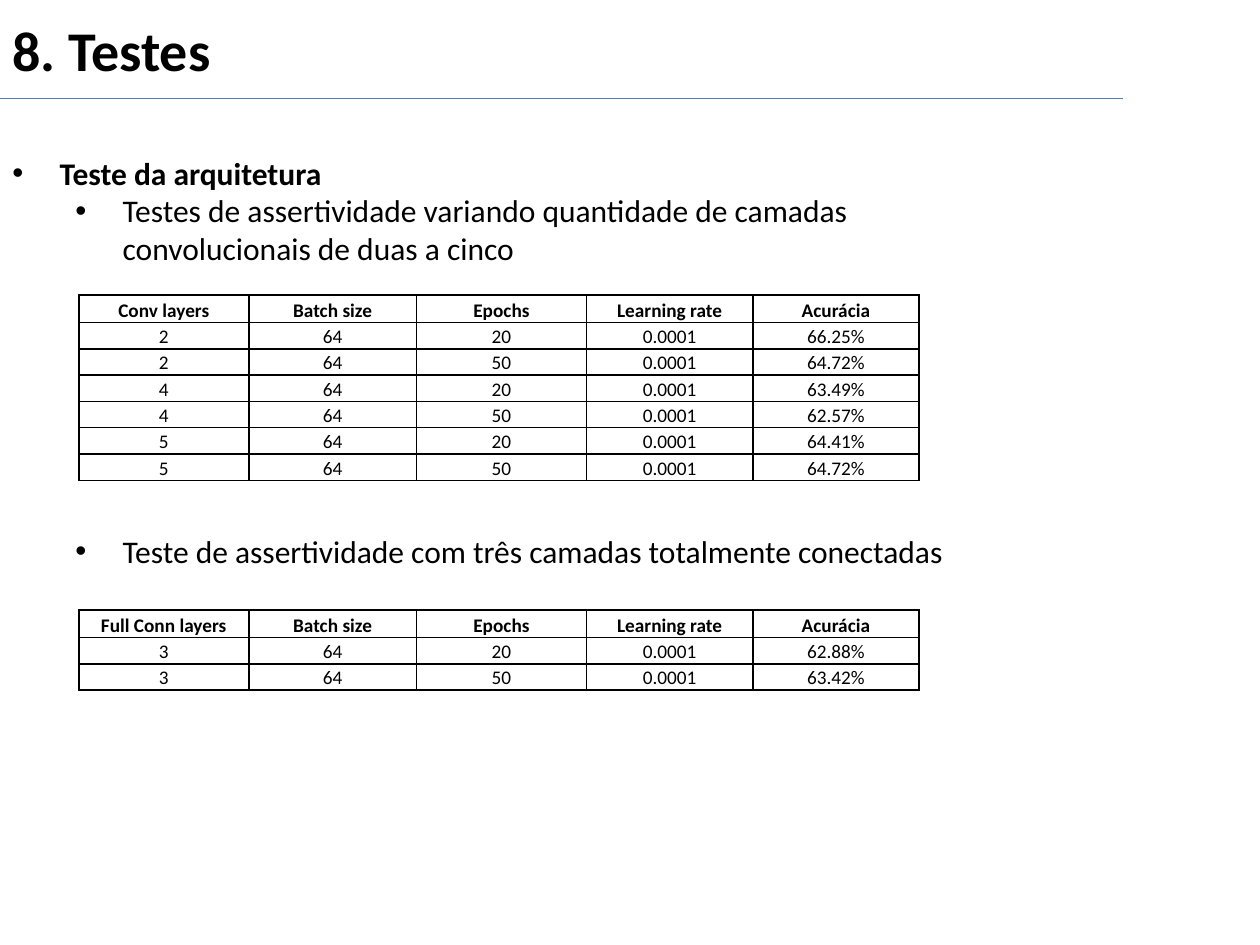
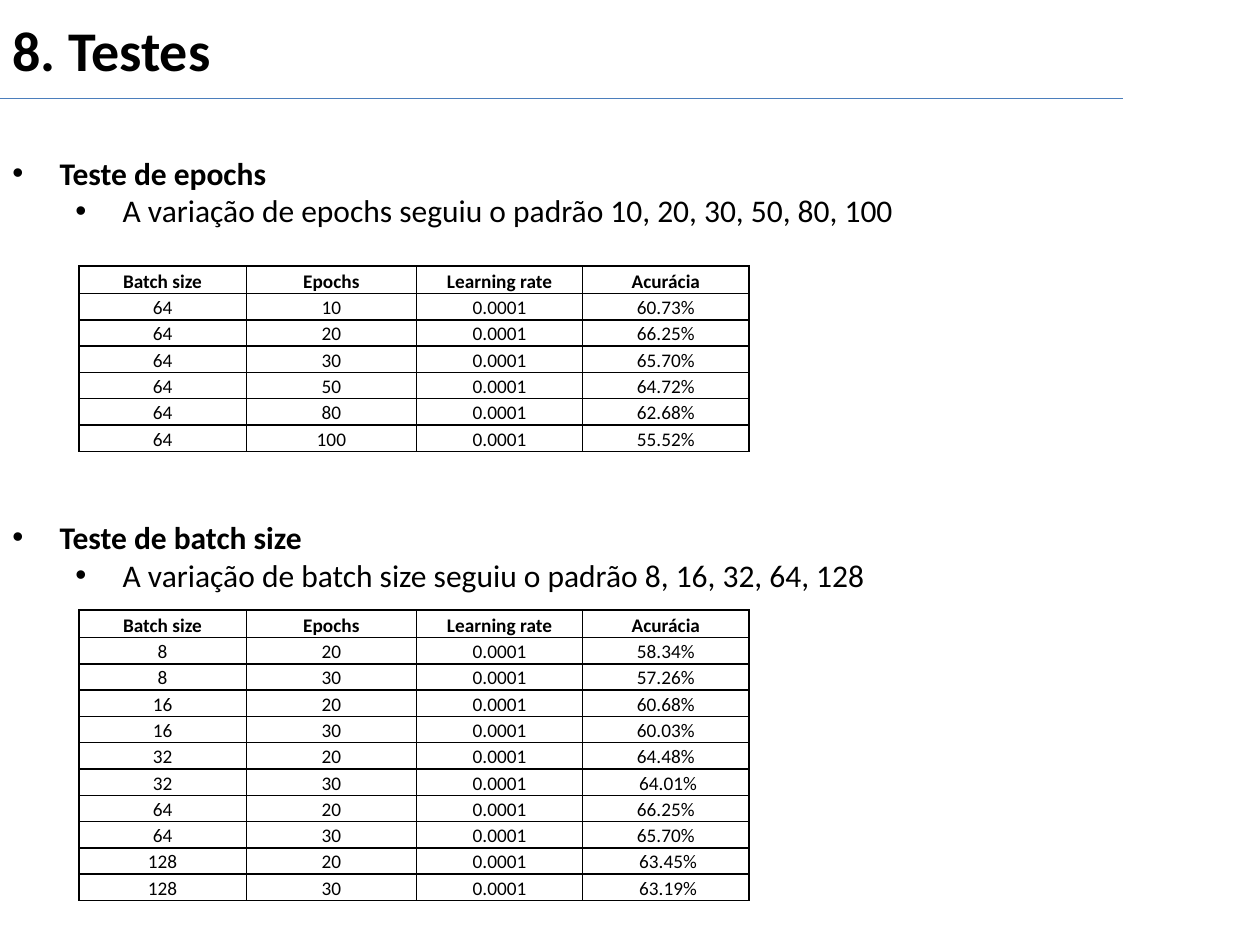
import pptx
import pptx.dml.color
import pptx.enum.shapes
import pptx.enum.text
import pptx.oxml
import pptx.oxml.ns
import pptx.util

Pt = pptx.util.Pt
Inches = pptx.util.Inches
PP_ALIGN = pptx.enum.text.PP_ALIGN
NS = pptx.oxml.ns.nsdecls("a")

COLORS = {"text": "000000", "rule": "4B7EBC", "border": "000000"}
FORMATS = {
    "title": {"name": "Calibri", "size": Pt(32), "bold": True},
    "topic": {"name": "Calibri", "size": Pt(18), "bold": True},
    "detail": {"name": "Calibri", "size": Pt(18), "bold": False},
    "header": {"name": "Calibri", "size": Pt(11), "bold": True},
    "cell": {"name": "Calibri", "size": Pt(11), "bold": False},
}

prs = pptx.Presentation()
prs.slide_width, prs.slide_height = Inches(10), Inches(7.5)
COL = prs.slide_width / 80
ROW = prs.slide_height / 60

TABLE_LEFT = 5
COL_WIDTHS = {"Conv layers": 10.8, "Full Conn layers": 10.8, "Batch size": 10.64,
              "Epochs": 10.8, "Learning rate": 10.56, "Acurácia": 10.56}
HEADER_ROW, BODY_ROW = 1.76, 1.67
LINE_PITCH = 21.65
RATE = "0.0001"
SHARED_HEADS = ["Batch size", "Epochs", "Learning rate", "Acurácia"]

slides = [
    {
        "texts": [
            (9.36, 27.44, [
                ("topic", "Teste da arquitetura", 0),
                ("detail", "Testes de assertividade variando quantidade de camadas "
                           "convolucionais de duas a cinco", 0),
                ("detail", "Teste de assertividade com três camadas totalmente conectadas", 7),
            ]),
        ],
        "tables": [
            (18.72, ["Conv layers"] + SHARED_HEADS, [
                ("2", "64", "20", RATE, "66.25%"),
                ("2", "64", "50", RATE, "64.72%"),
                ("4", "64", "20", RATE, "63.49%"),
                ("4", "64", "50", RATE, "62.57%"),
                ("5", "64", "20", RATE, "64.41%"),
                ("5", "64", "50", RATE, "64.72%"),
            ]),
            (38.72, ["Full Conn layers"] + SHARED_HEADS, [
                ("3", "64", "20", RATE, "62.88%"),
                ("3", "64", "50", RATE, "63.42%"),
            ]),
        ],
    },
    {
        "texts": [
            (9.36, 20.16, [
                ("topic", "Teste de epochs", 0),
                ("detail", "A variação de epochs seguiu o padrão 10, 20, 30, 50, 80, 100", 0),
            ]),
            (32.48, 5.68, [
                ("topic", "Teste de batch size", 0),
                ("detail", "A variação de batch size seguiu o padrão 8, 16, 32, 64, 128", 0),
            ]),
        ],
        "tables": [
            (16.88, SHARED_HEADS, [
                ("64", "10", RATE, "60.73%"),
                ("64", "20", RATE, "66.25%"),
                ("64", "30", RATE, "65.70%"),
                ("64", "50", RATE, "64.72%"),
                ("64", "80", RATE, "62.68%"),
                ("64", "100", RATE, "55.52%"),
            ]),
            (38.72, SHARED_HEADS, [
                ("8", "20", RATE, "58.34%"),
                ("8", "30", RATE, "57.26%"),
                ("16", "20", RATE, "60.68%"),
                ("16", "30", RATE, "60.03%"),
                ("32", "20", RATE, "64.48%"),
                ("32", "30", RATE, " 64.01%"),
                ("64", "20", RATE, "66.25%"),
                ("64", "30", RATE, "65.70%"),
                ("128", "20", RATE, " 63.45%"),
                ("128", "30", RATE, " 63.19%"),
            ]),
        ],
    },
]


def add_run(p, text, kind):
    r = p.add_run()
    r.text = text
    for key, value in FORMATS[kind].items():
        setattr(r.font, key, value)
    r.font.color.rgb = pptx.dml.color.RGBColor.from_string(COLORS["text"])


def add_box(s, top, width, height):
    sp = s.shapes.add_textbox(0, round(top * ROW), round(width * COL), round(height * ROW))
    sp.text_frame.word_wrap = True
    return sp.text_frame


for slide in slides:
    s = prs.slides.add_slide(prs.slide_layouts[6])

    tf = add_box(s, 0, 46.24, 10)
    tf.margin_top = round(0.96 * ROW)
    add_run(tf.paragraphs[0], "8. Testes", "title")

    rule_y = round(6.24 * ROW)
    rule = s.shapes.add_connector(pptx.enum.shapes.MSO_CONNECTOR.STRAIGHT,
                                  0, rule_y, round(71.28 * COL), rule_y)
    rule.line.width = Pt(0.75)
    rule.line.color.rgb = pptx.dml.color.RGBColor.from_string(COLORS["rule"])
    rule._element.spPr.append(pptx.oxml.parse_xml(f"<a:effectLst {NS}/>"))

    for top, height, lines in slide["texts"]:
        tf = add_box(s, top, 66.24, height)
        tf.margin_right = round(1.5 * COL)
        for i, (kind, text, gap) in enumerate(lines):
            p = tf.add_paragraph() if i else tf.paragraphs[0]
            p.level = 0 if kind == "topic" else 1
            p.space_before = Pt(gap * LINE_PITCH)
            add_run(p, text, kind)
            pPr = p._p.get_or_add_pPr()
            pPr.set("marL", str(round((3 + 4 * p.level) * COL)))
            pPr.set("indent", str(round(-3 * COL)))
            pPr.append(pptx.oxml.parse_xml(f'<a:buFont {NS} typeface="Arial"/>'))
            pPr.append(pptx.oxml.parse_xml(f'<a:buChar {NS} char="•"/>'))

    for top, heads, records in slide["tables"]:
        rows = [heads] + records
        widths = [COL_WIDTHS[head] for head in heads]
        heights = [HEADER_ROW] + [BODY_ROW] * len(records)
        table = s.shapes.add_table(len(rows), len(heads),
                                   round(TABLE_LEFT * COL), round(top * ROW),
                                   round(sum(widths) * COL), round(sum(heights) * ROW)).table
        table.first_row = table.horz_banding = False
        for column, width in zip(table.columns, widths):
            column.width = round(width * COL)
        for i, (row, height) in enumerate(zip(table.rows, heights)):
            row.height = round(height * ROW)
            for cell, text in zip(row.cells, rows[i]):
                layout = {"margin_left": round(0.4 * COL), "margin_right": round(0.4 * COL),
                          "margin_top": 0, "margin_bottom": 0,
                          "vertical_anchor": pptx.enum.text.MSO_ANCHOR.BOTTOM}
                for key, value in layout.items():
                    setattr(cell, key, value)
                cell.fill.background()
                p = cell.text_frame.paragraphs[0]
                p.alignment = PP_ALIGN.CENTER
                add_run(p, text, "cell" if i else "header")
                tcPr = cell._tc.get_or_add_tcPr()
                for n, side in enumerate(("lnL", "lnR", "lnT", "lnB")):
                    tcPr.insert(n, pptx.oxml.parse_xml(
                        f'<a:{side} {NS} w="{Pt(1)}"><a:solidFill>'
                        f'<a:srgbClr val="{COLORS["border"]}"/></a:solidFill></a:{side}>'))

prs.save("out.pptx")
